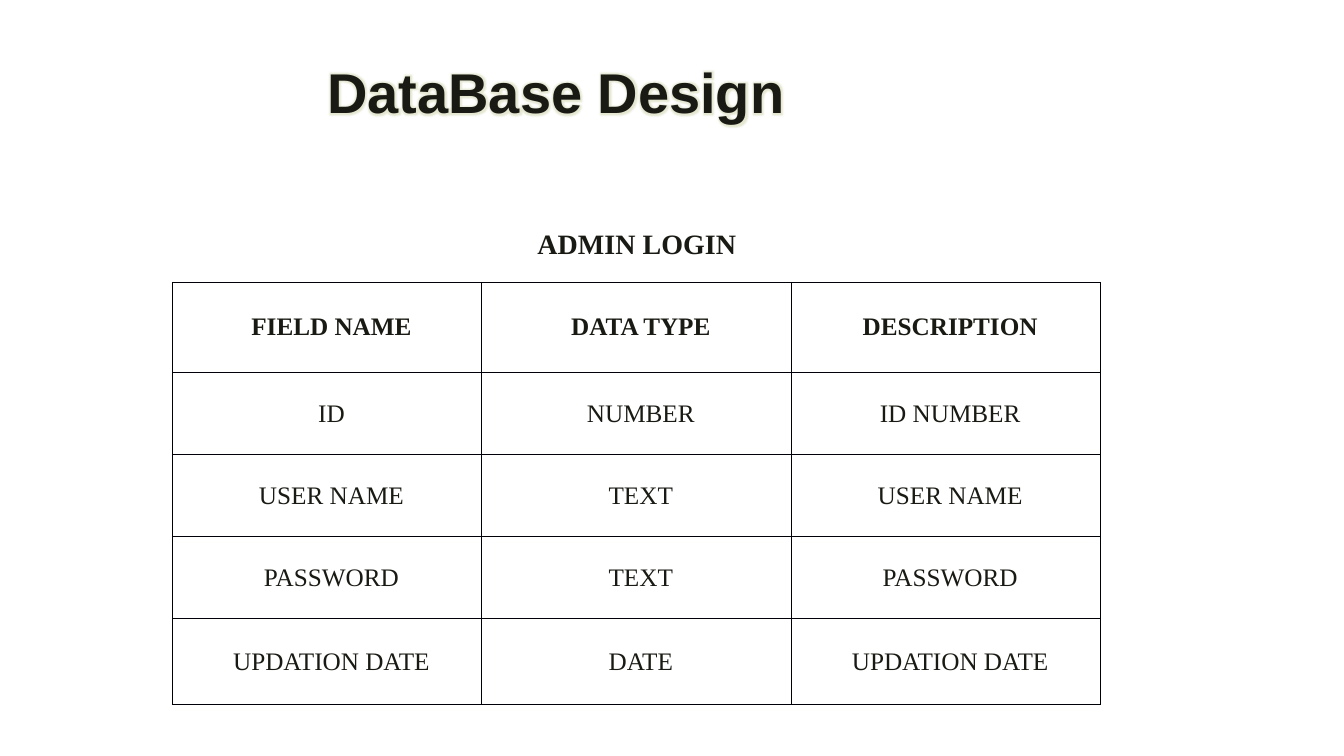
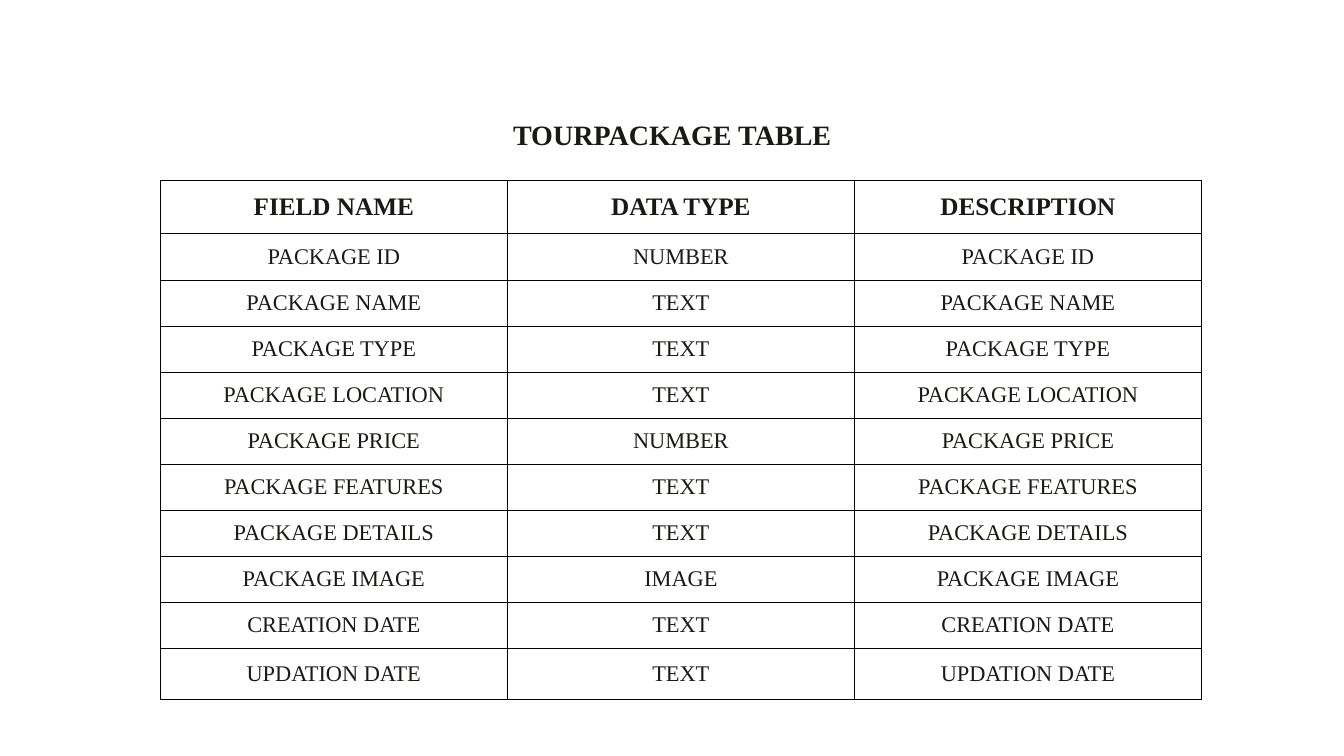
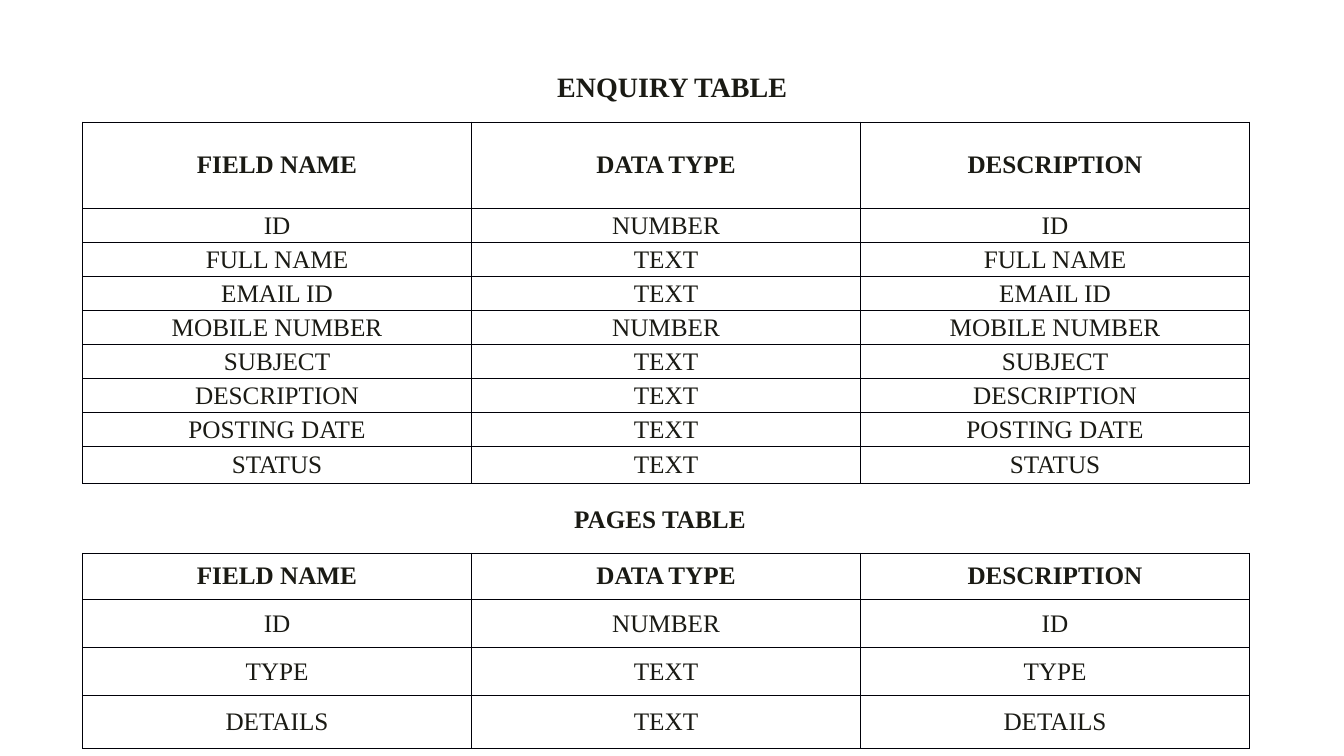
from dataclasses import dataclass

from lxml.etree import SubElement
from pptx import Presentation
from pptx.dml.color import RGBColor
from pptx.enum.text import MSO_ANCHOR, PP_ALIGN
from pptx.oxml.ns import qn
from pptx.util import Cm, Pt


@dataclass(frozen=True)
class Theme:
    background: str = "FFFFFF"
    ink: str = "1A1A14"
    border: str = "000008"
    glow: str = "E6E8D2"
    title_font: str = "Arial"
    body_font: str = "Times New Roman"
    title_size: int = 40
    heading_size: int = 20
    table_size: int = 18
    small_size: int = 16
    border_width: float = 0.5
    glow_radius: int = 6


@dataclass(frozen=True)
class Box:
    """Left, top, width and height in centimetres."""
    left: float
    top: float
    width: float
    height: float

    def lengths(self):
        return Cm(self.left), Cm(self.top), Cm(self.width), Cm(self.height)


THEME = Theme()
COLUMNS = ("FIELD NAME", "DATA TYPE", "DESCRIPTION")

ADMIN_FIELDS = [
    ("ID", "NUMBER", "ID NUMBER"),
    ("USER NAME", "TEXT"),
    ("PASSWORD", "TEXT"),
    ("UPDATION DATE", "DATE"),
]
PACKAGE_FIELDS = [
    ("PACKAGE ID", "NUMBER"),
    ("PACKAGE NAME", "TEXT"),
    ("PACKAGE TYPE", "TEXT"),
    ("PACKAGE LOCATION", "TEXT"),
    ("PACKAGE PRICE", "NUMBER"),
    ("PACKAGE FEATURES", "TEXT"),
    ("PACKAGE DETAILS", "TEXT"),
    ("PACKAGE IMAGE", "IMAGE"),
    ("CREATION DATE", "TEXT"),
    ("UPDATION DATE", "TEXT"),
]
ENQUIRY_FIELDS = [
    ("ID", "NUMBER"),
    ("FULL NAME", "TEXT"),
    ("EMAIL ID", "TEXT"),
    ("MOBILE NUMBER", "NUMBER"),
    ("SUBJECT", "TEXT"),
    ("DESCRIPTION", "TEXT"),
    ("POSTING DATE", "TEXT"),
    ("STATUS", "TEXT"),
]
PAGES_FIELDS = [("ID", "NUMBER"), ("TYPE", "TEXT"), ("DETAILS", "TEXT")]


def write(frame, text, size, font=THEME.body_font, bold=True,
          align=PP_ALIGN.CENTER):
    """Fill a text frame with one styled paragraph and return it."""
    frame.text = text
    frame.word_wrap = True
    para = frame.paragraphs[0]
    para.alignment = align
    for span in para.runs:
        span.font.name = font
        span.font.size = Pt(size)
        span.font.bold = bold
        span.font.color.rgb = RGBColor.from_string(THEME.ink)
    return para


def add_page(deck):
    page = deck.slides.add_slide(deck.slide_layouts[6])
    fill = page.background.fill
    fill.solid()
    fill.fore_color.rgb = RGBColor.from_string(THEME.background)
    return page


def add_glow(span):
    properties = span.font.fill and span._r.get_or_add_rPr()
    effects = properties.makeelement(qn("a:effectLst"), {})
    properties.find(qn("a:solidFill")).addnext(effects)
    glow = SubElement(effects, qn("a:glow"), rad=str(Pt(THEME.glow_radius)))
    SubElement(glow, qn("a:srgbClr"), val=THEME.glow)


def add_title(page, box, text):
    frame = page.shapes.add_textbox(*box.lengths()).text_frame
    frame.vertical_anchor = MSO_ANCHOR.BOTTOM
    para = write(frame, text, THEME.title_size, THEME.title_font,
                 align=PP_ALIGN.LEFT)
    add_glow(para.runs[0])


def add_heading(page, box, text, size=THEME.heading_size,
                align=PP_ALIGN.CENTER, line_spacing=1.0):
    frame = page.shapes.add_textbox(*box.lengths()).text_frame
    para = write(frame, text, size, align=align)
    para.line_spacing = line_spacing


def add_borders(cell):
    properties = cell._tc.get_or_add_tcPr()
    for side in ("lnL", "lnR", "lnT", "lnB"):
        line = SubElement(properties, qn(f"a:{side}"),
                          w=str(Pt(THEME.border_width)))
        fill = SubElement(line, qn("a:solidFill"))
        SubElement(fill, qn("a:srgbClr"), val=THEME.border)


def style_cell(cell, text, size, bold, indent):
    add_borders(cell)
    cell.fill.background()
    cell.vertical_anchor = MSO_ANCHOR.MIDDLE
    cell.margin_left = Cm(0.18 + indent)
    cell.margin_right = Cm(0.18)
    cell.margin_top = cell.margin_bottom = 0
    write(cell.text_frame, text, size, bold=bold)


def add_field_table(page, box, fields, header_height, last_height,
                    size=THEME.table_size, indent=0):
    """Draw a field list; a field without a description repeats its name."""
    rows = [COLUMNS] + [(*field, field[0])[:3] for field in fields]
    frame = page.shapes.add_table(len(rows), len(COLUMNS), *box.lengths())
    table = frame.table
    table.first_row = table.horz_banding = False
    for column in table.columns:
        column.width = Cm(box.width / len(COLUMNS))

    middle_height = (box.height - header_height - last_height) / (len(rows) - 2)
    heights = [header_height, *[middle_height] * (len(rows) - 2), last_height]
    for index, (values, height) in enumerate(zip(rows, heights)):
        table.rows[index].height = Cm(height)
        header = index == 0
        for cell, text in zip(table.rows[index].cells, values):
            style_cell(cell, text, THEME.table_size if header else size,
                       header, indent)


def admin_page(deck):
    page = add_page(deck)
    add_title(page, Box(8, 1.3, 16.69, 1.96), "DataBase Design")
    add_heading(page, Box(8.99, 5.16, 14.12, 1.78), "ADMIN LOGIN",
                line_spacing=1.5)
    add_field_table(page, Box(4.34, 7.11, 23.39, 10.64), ADMIN_FIELDS,
                    2.28, 2.16, indent=0.23)


def package_page(deck):
    page = add_page(deck)
    add_heading(page, Box(9.88, 2.84, 14.12, 1.7), "TOURPACKAGE TABLE")
    add_field_table(page, Box(4.04, 4.55, 26.24, 13.08), PACKAGE_FIELDS,
                    1.34, 1.29, size=THEME.small_size)


def enquiry_page(deck):
    page = add_page(deck)
    add_heading(page, Box(9.88, 1.63, 14.12, 1.45), "ENQUIRY TABLE")
    add_field_table(page, Box(2.08, 3.07, 29.41, 9.1), ENQUIRY_FIELDS,
                    2.19, 0.91)
    add_heading(page, Box(14.22, 12.57, 6.27, 1.37), "PAGES TABLE",
                THEME.table_size, PP_ALIGN.LEFT)
    add_field_table(page, Box(2.08, 13.94, 29.41, 4.92), PAGES_FIELDS,
                    1.17, 1.33)


def main():
    deck = Presentation()
    deck.slide_width, deck.slide_height = Cm(33.87), Cm(19.05)
    for build in (admin_page, package_page, enquiry_page):
        build(deck)
    deck.save("out.pptx")


if __name__ == "__main__":
    main()
